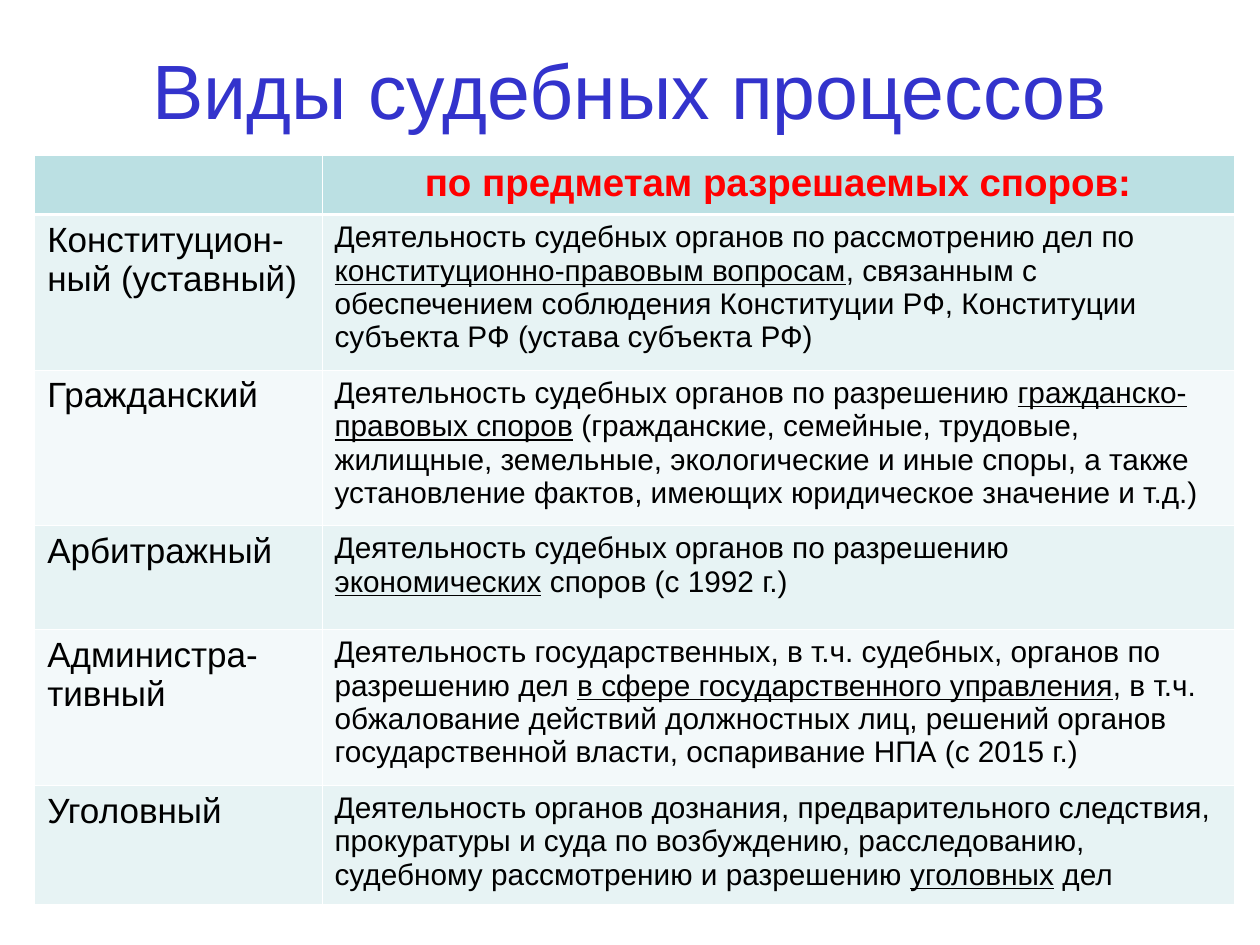
from dataclasses import dataclass

from lxml import etree
from pptx import Presentation
from pptx.dml.color import RGBColor
from pptx.enum.text import MSO_ANCHOR, PP_ALIGN
from pptx.oxml.ns import qn
from pptx.util import Pt

CENTER, LEFT = PP_ALIGN.CENTER, PP_ALIGN.LEFT
MIDDLE = MSO_ANCHOR.MIDDLE


@dataclass(frozen=True)
class Theme:
    font: str = "Arial"
    title: str = "3333CC"
    heading: str = "FF0000"
    body: str = "000000"
    border: str = "FFFFFF"
    header_fill: str = "BBE0E3"
    bands: tuple = ("E7F3F4", "F3F9FA")
    title_size: int = 44
    heading_size: int = 22
    kind_size: int = 20
    detail_size: int = 17
    thin: float = 0.45
    thick: float = 1.47


THEME = Theme()


def write(paragraph, parts, size, color, align=LEFT, bold=False):
    """Write the parts as runs; every second one is underlined."""
    paragraph.alignment = align
    for index, part in enumerate(parts):
        run = paragraph.add_run()
        run.text = part
        style = {"name": THEME.font, "size": Pt(size), "bold": bold,
                 "underline": index % 2 == 1}
        for attribute, value in style.items():
            setattr(run.font, attribute, value)
        run.font.color.rgb = RGBColor.from_string(color)


def paint(cell, fill, widths):
    """Give a cell its borders (left, right, top, bottom) and its fill."""
    properties = cell._tc.get_or_add_tcPr()
    for side, width in zip("LRTB", widths):
        line = etree.SubElement(properties, qn(f"a:ln{side}"), w=str(Pt(width)))
        solid = etree.SubElement(line, qn("a:solidFill"))
        etree.SubElement(solid, qn("a:srgbClr"), val=THEME.border)
    cell.fill.solid()
    cell.fill.fore_color.rgb = RGBColor.from_string(fill)


prs = Presentation()
prs.slide_width, prs.slide_height = Pt(720), Pt(540)
slide = prs.slides.add_slide(prs.slide_layouts[6])

# Title
title = slide.shapes.add_textbox(Pt(54), Pt(15), Pt(612), Pt(72)).text_frame
title.word_wrap = True
title.vertical_anchor = MIDDLE
write(title.paragraphs[0], ["Виды судебных процессов"],
      THEME.title_size, THEME.title, CENTER)

# Kinds of proceedings: name lines, then plain / underlined / plain description
processes = [
    (["Конституцион-", "ный (уставный)"],
     ["Деятельность судебных органов по рассмотрению дел по ",
      "конституционно-правовым вопросам",
      ", связанным с обеспечением соблюдения Конституции РФ, "
      "Конституции субъекта РФ (устава субъекта РФ)"]),
    (["Гражданский"],
     ["Деятельность судебных органов по разрешению ",
      "гражданско-правовых споров",
      " (гражданские, семейные, трудовые, жилищные, земельные, экологические "
      "и иные споры, а также установление фактов, имеющих юридическое "
      "значение и т.д.)"]),
    (["Арбитражный"],
     ["Деятельность судебных органов по разрешению ",
      "экономических",
      " споров (с 1992 г.)"]),
    (["Администра-тивный"],
     ["Деятельность государственных, в т.ч. судебных, органов по разрешению дел ",
      "в сфере государственного управления",
      ", в т.ч. обжалование действий должностных лиц, решений органов "
      "государственной власти, оспаривание НПА (с 2015 г.)"]),
    (["Уголовный"],
     ["Деятельность органов дознания, предварительного следствия, прокуратуры "
      "и суда по возбуждению, расследованию, судебному рассмотрению и разрешению ",
      "уголовных",
      " дел"]),
]

# Table grid
column_widths = [164.2, 521.3]
row_heights = [33.3, 88.9, 88.9, 59.4, 88.9, 68.2]
table = slide.shapes.add_table(
    len(row_heights), len(column_widths), Pt(19.8), Pt(88.9),
    Pt(sum(column_widths)), Pt(sum(row_heights))).table
for column, width in zip(table.columns, column_widths):
    column.width = Pt(width)
for row, height in zip(table.rows, row_heights):
    row.height = Pt(height)

# Fills and borders, with a thicker line under the header
for number, row in enumerate(table.rows):
    fill = THEME.bands[(number - 1) % 2] if number else THEME.header_fill
    top = THEME.thick if number == 1 else THEME.thin
    bottom = THEME.thick if number == 0 else THEME.thin
    for cell in row.cells:
        paint(cell, fill, [THEME.thin, THEME.thin, top, bottom])

# Header text
write(table.cell(0, 1).text_frame.paragraphs[0],
      ["по предметам разрешаемых споров:"],
      THEME.heading_size, THEME.heading, CENTER, bold=True)

# Body text
for number, (kind_lines, description) in enumerate(processes, start=1):
    kind = table.cell(number, 0).text_frame
    for index, line in enumerate(kind_lines):
        paragraph = kind.add_paragraph() if index else kind.paragraphs[0]
        write(paragraph, [line], THEME.kind_size, THEME.body)
    write(table.cell(number, 1).text_frame.paragraphs[0], description,
          THEME.detail_size, THEME.body)

prs.save("out.pptx")
